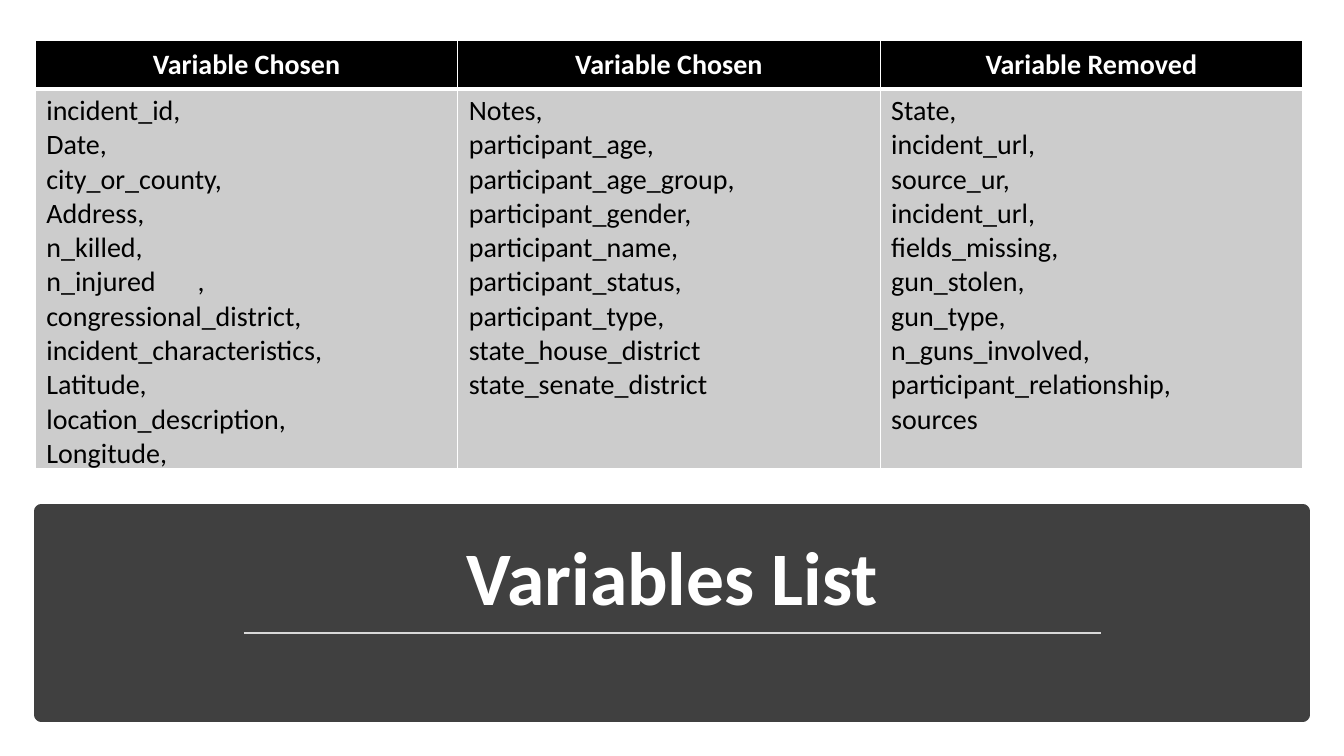
from lxml import etree
from pptx import Presentation
from pptx.dml.color import RGBColor
from pptx.enum.shapes import MSO_CONNECTOR, MSO_SHAPE
from pptx.enum.text import MSO_ANCHOR, PP_ALIGN
from pptx.oxml.ns import qn
from pptx.util import Pt

RECTANGLE = MSO_SHAPE.RECTANGLE
STRAIGHT = MSO_CONNECTOR.STRAIGHT
CENTER, LEFT = PP_ALIGN.CENTER, PP_ALIGN.LEFT
TOP, MIDDLE, BOTTOM = MSO_ANCHOR.TOP, MSO_ANCHOR.MIDDLE, MSO_ANCHOR.BOTTOM

EMU_PER_PX = 9144
WHITE, BLACK, CHARCOAL = "FFFFFF", "000000", "404040"
SILVER, RULE_GREY = "CCCCCC", "D9D9D9"

VARIABLES = {
    "headers": ["Variable Chosen", "Variable Chosen", "Variable Removed"],
    "lists": [
        ["incident_id,", "Date,", "city_or_county,", "Address,", "n_killed,",
         "n_injured\t,", "congressional_district,",
         "incident_characteristics,", "Latitude,", "location_description,",
         "Longitude,"],
        ["Notes,", "participant_age,", "participant_age_group,",
         "participant_gender,", "participant_name,", "participant_status,",
         "participant_type,", "state_house_district",
         "state_senate_district"],
        ["State,", "incident_url,", "source_ur,", "incident_url,",
         "fields_missing,", "gun_stolen,", "gun_type,",
         "n_guns_involved, participant_relationship,", "sources"],
    ],
}


def px(length):
    """Turn whole pixels into EMU."""
    return length * EMU_PER_PX


def color(hex_string):
    """Turn a hex string into a colour."""
    return RGBColor.from_string(hex_string)


class SlideBuilder:
    """Hold the text style and the current slide."""

    def __init__(self, slide, font="Calibri"):
        """Keep the slide and its font."""
        self.slide = slide
        self.font = font

    def set_text(self, frame, text, size, ink, bold=False, align=LEFT):
        """Fill a text frame and format its runs."""
        frame.text = text
        frame.word_wrap = True
        for paragraph in frame.paragraphs:
            paragraph.alignment = align
            for run in paragraph.runs:
                run.font.name = self.font
                run.font.size = Pt(size)
                run.font.bold = bold
                run.font.color.rgb = color(ink)

    def panel(self, left, top, width, height, fill):
        """Draw a rectangle with a thick outline of its own colour."""
        panel = self.slide.shapes.add_shape(
            RECTANGLE, px(left), px(top), px(width), px(height))
        panel.shadow.inherit = False
        panel.fill.solid()
        panel.fill.fore_color.rgb = color(fill)
        panel.line.color.rgb = color(fill)
        panel.line.width = Pt(10)

    def title(self, left, top, width, height, text):
        """Place the centred slide title."""
        frame = self.slide.shapes.add_textbox(
            px(left), px(top), px(width), px(height)).text_frame
        self.set_text(frame, text, 54, WHITE, True, CENTER)
        frame.vertical_anchor = BOTTOM
        frame.paragraphs[0].line_spacing = 0.9

    def rule(self, left, right, y):
        """Draw a horizontal line."""
        rule = self.slide.shapes.add_connector(
            STRAIGHT, px(left), px(y), px(right), px(y))
        rule.line.color.rgb = color(RULE_GREY)
        rule.line.width = Pt(1.75)
        etree.SubElement(rule._element.spPr, qn("a:effectLst"))

    def borders(self, cell, **widths):
        """Give a cell white borders of the given point widths."""
        properties = cell._tc.get_or_add_tcPr()
        for position, (side, width) in enumerate(widths.items()):
            edge = etree.Element(qn(f"a:ln{side}"), w=str(Pt(width)))
            paint = etree.SubElement(edge, qn("a:solidFill"))
            etree.SubElement(paint, qn("a:srgbClr"), val=WHITE)
            properties.insert(position, edge)

    def cell(self, cell, text, fill, ink, bold, align, anchor):
        """Fill and format one table cell."""
        self.set_text(cell.text_frame, text, 20, ink, bold, align)
        cell.vertical_anchor = anchor
        cell.margin_left = cell.margin_right = px(11)
        cell.margin_top = cell.margin_bottom = px(5)
        cell.fill.solid()
        cell.fill.fore_color.rgb = color(fill)

    def table(self, left, top, column_width, row_heights, headers, lists):
        """Draw a header row above one list per column."""
        table = self.slide.shapes.add_table(
            len(row_heights), len(headers), px(left), px(top),
            px(column_width * len(headers)), px(sum(row_heights))).table
        for row, height in zip(table.rows, row_heights):
            row.height = px(height)
        for index, (header, names) in enumerate(zip(headers, lists)):
            table.columns[index].width = px(column_width)
            heading, body = table.cell(0, index), table.cell(1, index)
            self.cell(heading, header, BLACK, WHITE, True, CENTER, MIDDLE)
            self.cell(body, "\n".join(names), SILVER, BLACK, False, LEFT, TOP)
            self.borders(heading, L=1, R=1, T=1, B=3)
            self.borders(body, L=1, R=1, T=3, B=1)


def main():
    """Build and save the variables slide."""
    presentation = Presentation()
    presentation.slide_width = px(1333)
    presentation.slide_height = px(750)
    blank = presentation.slide_layouts[6]
    builder = SlideBuilder(presentation.slides.add_slide(blank))
    builder.panel(41, 507, 1251, 202, CHARCOAL)
    builder.title(58, 520, 1218, 102, "Variables List")
    builder.rule(242, 1092, 628)
    builder.table(35, 40, 419, [48, 376], **VARIABLES)
    presentation.save("out.pptx")


if __name__ == "__main__":
    main()
